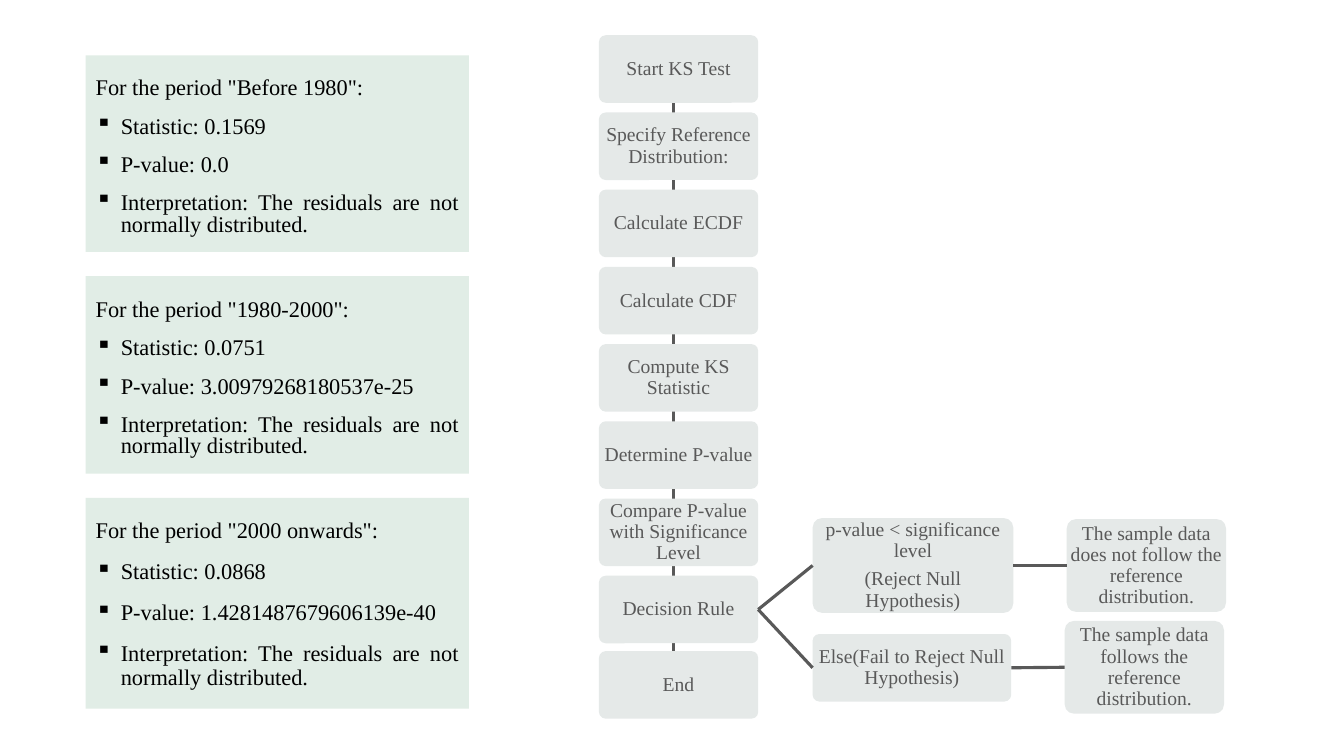
import pptx
import pptx.util
import pptx.dml.color
import pptx.enum.shapes
import pptx.enum.text
import pptx.oxml
import pptx.oxml.ns

FONT = "Times New Roman"
COLORS = {"panel": "E1EDE6", "step": "E5E9E8", "gray": "595959", "black": "000000"}
VERDICT = "Interpretation: The residuals are not normally distributed."

PERIODS = [
    {"top": 55, "height": 195, "inset": 23, "spacing": 0.8,
     "lines": ['For the period "Before 1980":', "Statistic: 0.1569", "P-value: 0.0", VERDICT]},
    {"top": 274, "height": 196, "inset": 24, "spacing": 0.8,
     "lines": ['For the period "1980-2000":', "Statistic: 0.0751",
               "P-value: 3.00979268180537e-25", VERDICT]},
    {"top": 494, "height": 209, "inset": 21, "spacing": 0.9,
     "lines": ['For the period "2000 onwards":', "Statistic: 0.0868",
               "P-value: 1.4281487679606139e-40", VERDICT]},
]
STEPS = ["Start KS Test", "Specify Reference Distribution:", "Calculate ECDF",
         "Calculate CDF", "Compute KS Statistic", "Determine P-value",
         "Compare P-value with Significance Level", "Decision Rule"]
END = ("End", (594, 646, 158, 67))
BRANCHES = [
    [("p-value < significance level\n(Reject Null Hypothesis)", (806, 514, 199, 94)),
     ("The sample data does not follow the reference distribution.", (1058, 515, 158, 92))],
    [("Else(Fail to Reject Null Hypothesis)", (806, 629, 197, 67)),
     ("The sample data follows the reference distribution.", (1056, 616, 158, 92))],
]
PANEL_LEFT, PANEL_WIDTH = 85, 380
STEP_LEFT, STEP_TOP, STEP_WIDTH, STEP_HEIGHT, STEP_PITCH = 594, 35, 158, 67, 76.6
SPINE = (668, 69, 668, 674)
INDENT = 25
RIGHT, LEFT = 3, 1

ALIGN = pptx.enum.text.PP_ALIGN
ANCHOR = pptx.enum.text.MSO_ANCHOR
SHAPE = pptx.enum.shapes.MSO_SHAPE


def px(length):
    return pptx.util.Emu(round(length * 9144))


def rgb(name):
    return pptx.dml.color.RGBColor.from_string(COLORS[name])


def apply(target, values):
    for key, value in values.items():
        setattr(target, key, value)


def add_box(kind, place, fill, lines, size, ink, frame_format, line_format):
    box = slide.shapes.add_shape(kind, *map(px, place))
    box.shadow.inherit = False
    box.fill.solid()
    box.fill.fore_color.rgb = rgb(fill)
    box.line.fill.background()
    frame = box.text_frame
    apply(frame, {"word_wrap": True, **frame_format})
    for index, line in enumerate(lines):
        paragraph = frame.paragraphs[0] if index == 0 else frame.add_paragraph()
        apply(paragraph, line_format)
        run = paragraph.add_run()
        run.text = line
        apply(run.font, {"name": FONT, "size": pptx.util.Pt(size)})
        run.font.color.rgb = rgb(ink)
    return box


def add_panel(period):
    panel = add_box(
        SHAPE.RECTANGLE, (PANEL_LEFT, period["top"], PANEL_WIDTH, period["height"]),
        "panel", period["lines"], 16, "black",
        {"vertical_anchor": ANCHOR.TOP, "margin_left": px(10), "margin_right": px(10),
         "margin_top": px(period["inset"]), "margin_bottom": px(0)},
        {"alignment": ALIGN.JUSTIFY, "line_spacing": period["spacing"],
         "space_before": pptx.util.Pt(12)})
    for paragraph in panel.text_frame.paragraphs[1:]:
        properties = paragraph._p.get_or_add_pPr()
        properties.set("marL", str(px(INDENT)))
        properties.set("indent", str(-px(INDENT)))
        bullet = pptx.oxml.parse_xml(
            '<a:buChar %s char="▪"/>' % pptx.oxml.ns.nsdecls("a"))
        properties.append(bullet)


def add_step(text, place):
    margins = {"margin_" + side: px(1) for side in ("left", "right", "top", "bottom")}
    step = add_box(
        SHAPE.ROUNDED_RECTANGLE, place, "step", text.split("\n"), 14, "gray",
        {"vertical_anchor": ANCHOR.MIDDLE, **margins},
        {"alignment": ALIGN.CENTER, "line_spacing": 0.9, "space_after": pptx.util.Pt(5)})
    step.adjustments[0] = 0.1
    return step


def add_line(ends):
    line = slide.shapes.add_connector(
        pptx.enum.shapes.MSO_CONNECTOR.STRAIGHT, *map(px, ends))
    line.line.color.rgb = rgb("gray")
    line.line.width = pptx.util.Pt(2.25)
    line._element.spPr.append(
        pptx.oxml.parse_xml("<a:effectLst %s/>" % pptx.oxml.ns.nsdecls("a")))
    return line


def join(source, target):
    line = add_line((0, 0, 0, 0))
    line.begin_connect(source, RIGHT)
    line.end_connect(target, LEFT)


deck = pptx.Presentation()
apply(deck, {"slide_width": px(1333), "slide_height": px(750)})
slide = deck.slides.add_slide(deck.slide_layouts[6])

add_line(SPINE)
for period in PERIODS:
    add_panel(period)
for index, text in enumerate(STEPS):
    decision = add_step(
        text, (STEP_LEFT, STEP_TOP + index * STEP_PITCH, STEP_WIDTH, STEP_HEIGHT))
add_step(*END)
for branch in BRANCHES:
    previous = decision
    for text, place in branch:
        outcome = add_step(text, place)
        join(previous, outcome)
        previous = outcome

deck.save("out.pptx")
